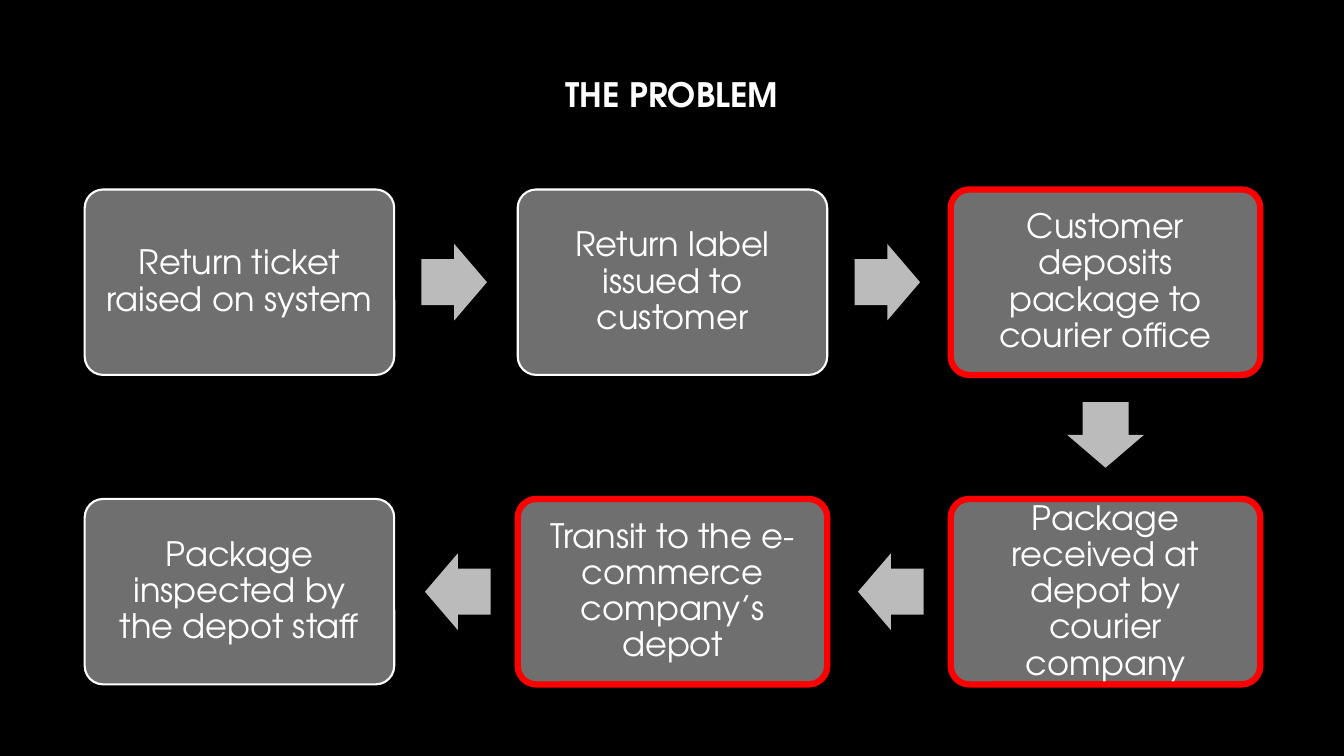
from dataclasses import dataclass

from pptx import Presentation
from pptx import util as u
from pptx.dml.color import RGBColor
from pptx.enum import shapes, text

TITLE = "THE PROBLEM"
# Step text, column, row, highlighted as a problem
STEPS = [
    ("Return ticket raised on system", 0, 0, False),
    ("Return label issued to customer", 1, 0, False),
    ("Customer deposits package to courier office", 2, 0, True),
    ("Package received at depot by courier company", 2, 1, True),
    ("Transit to the e-commerce company’s depot", 1, 1, True),
    ("Package inspected by the depot staff", 0, 1, False),
]


@dataclass(frozen=True)
class Theme:
    font: str = "TeX Gyre Adventor"
    size: int = 24
    background: str = "000000"
    text: str = "FFFFFF"
    box: str = "6F6F6F"
    outline: str = "FFFFFF"
    highlight: str = "FF0000"
    arrow: str = "BBBBBB"
    outline_width: float = 1.5
    highlight_width: float = 4.5


THEME = Theme()

# Grid of boxes, in inches
LEFT, TOP = 0.84, 1.88
BOX_WIDTH, BOX_HEIGHT = 3.07, 1.84
COLUMN_STEP = (9.43 - LEFT) / 2
ROW_STEP = 3.07
BOX_INSET = 0.15
ARROW_LENGTH, ARROW_WIDTH = 0.65, 0.76
ARROW_GAP = 0.27


def color(value):
    return RGBColor.from_string(value)


def write(frame, content, bold=False):
    frame.text = content
    frame.word_wrap = True
    frame.vertical_anchor = text.MSO_ANCHOR.MIDDLE
    paragraph = frame.paragraphs[0]
    paragraph.alignment = text.PP_ALIGN.CENTER
    paragraph.line_spacing = 0.9
    font = paragraph.runs[0].font
    font.name, font.size, font.bold = THEME.font, u.Pt(THEME.size), bold
    font.color.rgb = color(THEME.text)


def add_filled(slide, kind, left, top, width, height, fill, adjustments):
    shape = slide.shapes.add_shape(kind, *map(u.Inches, (left, top, width, height)))
    shape.shadow.inherit = False
    shape.fill.solid()
    shape.fill.fore_color.rgb = color(fill)
    for index, value in enumerate(adjustments):
        shape.adjustments[index] = value
    return shape


def add_step(slide, content, column, row, highlighted):
    box = add_filled(slide, shapes.MSO_SHAPE.ROUNDED_RECTANGLE,
                     LEFT + column * COLUMN_STEP, TOP + row * ROW_STEP,
                     BOX_WIDTH, BOX_HEIGHT, THEME.box, [0.1])
    box.line.color.rgb = color(THEME.highlight if highlighted else THEME.outline)
    box.line.width = u.Pt(THEME.highlight_width if highlighted else THEME.outline_width)
    frame = box.text_frame
    frame.margin_left = frame.margin_right = u.Inches(BOX_INSET)
    frame.margin_top = frame.margin_bottom = u.Inches(BOX_INSET)
    write(frame, content)


def add_arrow(slide, start, end):
    """Place an arrow a fixed gap beyond the box it leaves."""
    (_, column, row, _), (_, next_column, next_row, _) = start, end
    across, down = next_column - column, next_row - row
    reach = ARROW_GAP + ARROW_LENGTH / 2
    center_x = LEFT + column * COLUMN_STEP + BOX_WIDTH / 2 + across * (BOX_WIDTH / 2 + reach)
    center_y = TOP + row * ROW_STEP + BOX_HEIGHT / 2 + down * (BOX_HEIGHT / 2 + reach)
    arrow = add_filled(slide, shapes.MSO_SHAPE.RIGHT_ARROW,
                       center_x - ARROW_LENGTH / 2, center_y - ARROW_WIDTH / 2,
                       ARROW_LENGTH, ARROW_WIDTH, THEME.arrow, [0.6, 0.5])
    arrow.rotation = {(1, 0): 0, (0, 1): 90, (-1, 0): 180}[across, down]
    arrow.line.fill.background()


def main():
    presentation = Presentation()
    presentation.slide_width, presentation.slide_height = u.Inches(13.33), u.Inches(7.5)
    slide = presentation.slides.add_slide(presentation.slide_layouts.get_by_name("Title Only"))
    slide.background.fill.solid()
    slide.background.fill.fore_color.rgb = color(THEME.background)

    # Title
    title = slide.shapes.title
    title.left, title.top, title.width, title.height = map(u.Inches, (1.25, 0.49, 10.83, 0.93))
    write(title.text_frame, TITLE, bold=True)

    # Process steps and the arrows between them
    for step in STEPS:
        add_step(slide, *step)
    for start, end in zip(STEPS, STEPS[1:]):
        add_arrow(slide, start, end)

    presentation.save("out.pptx")


if __name__ == "__main__":
    main()
